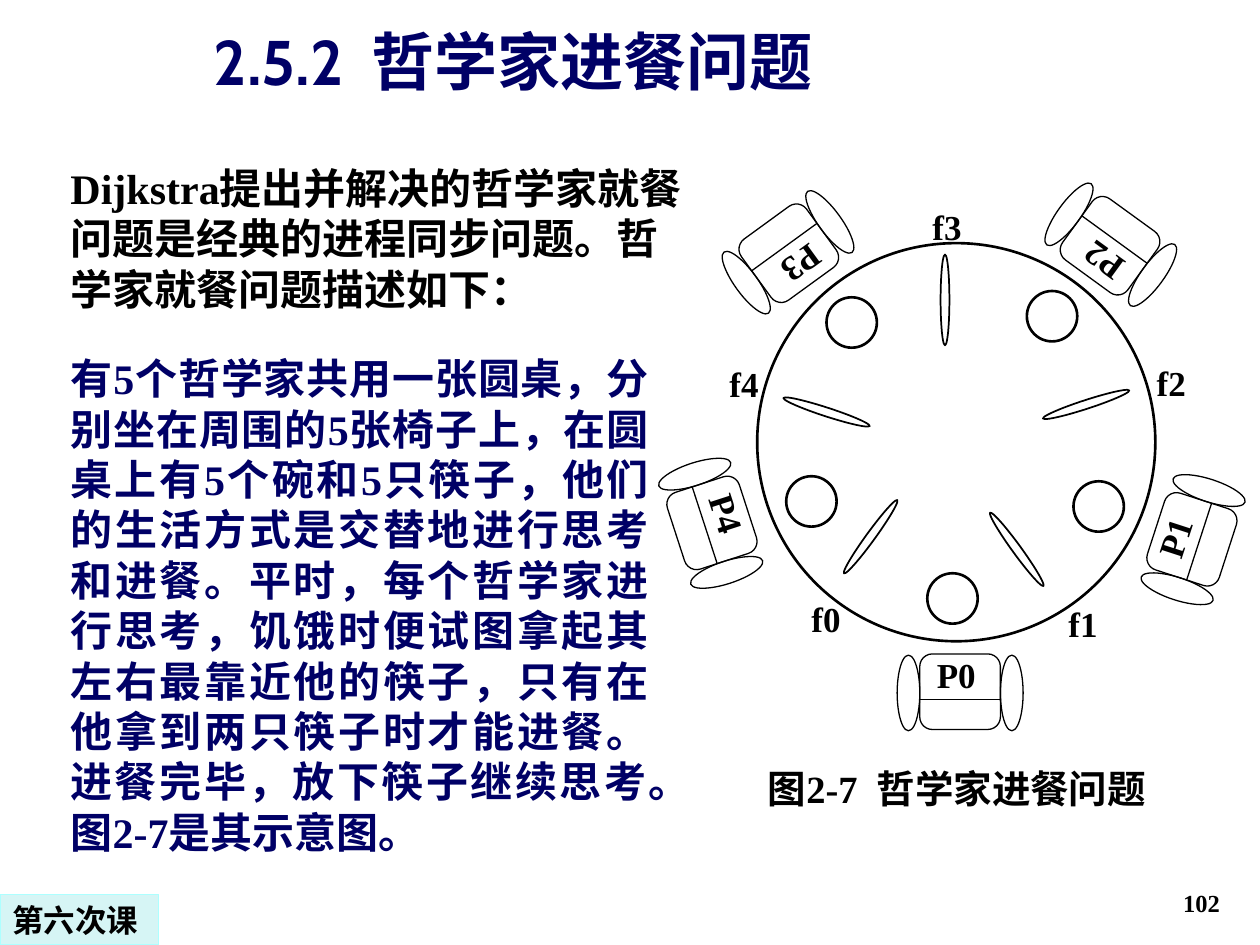
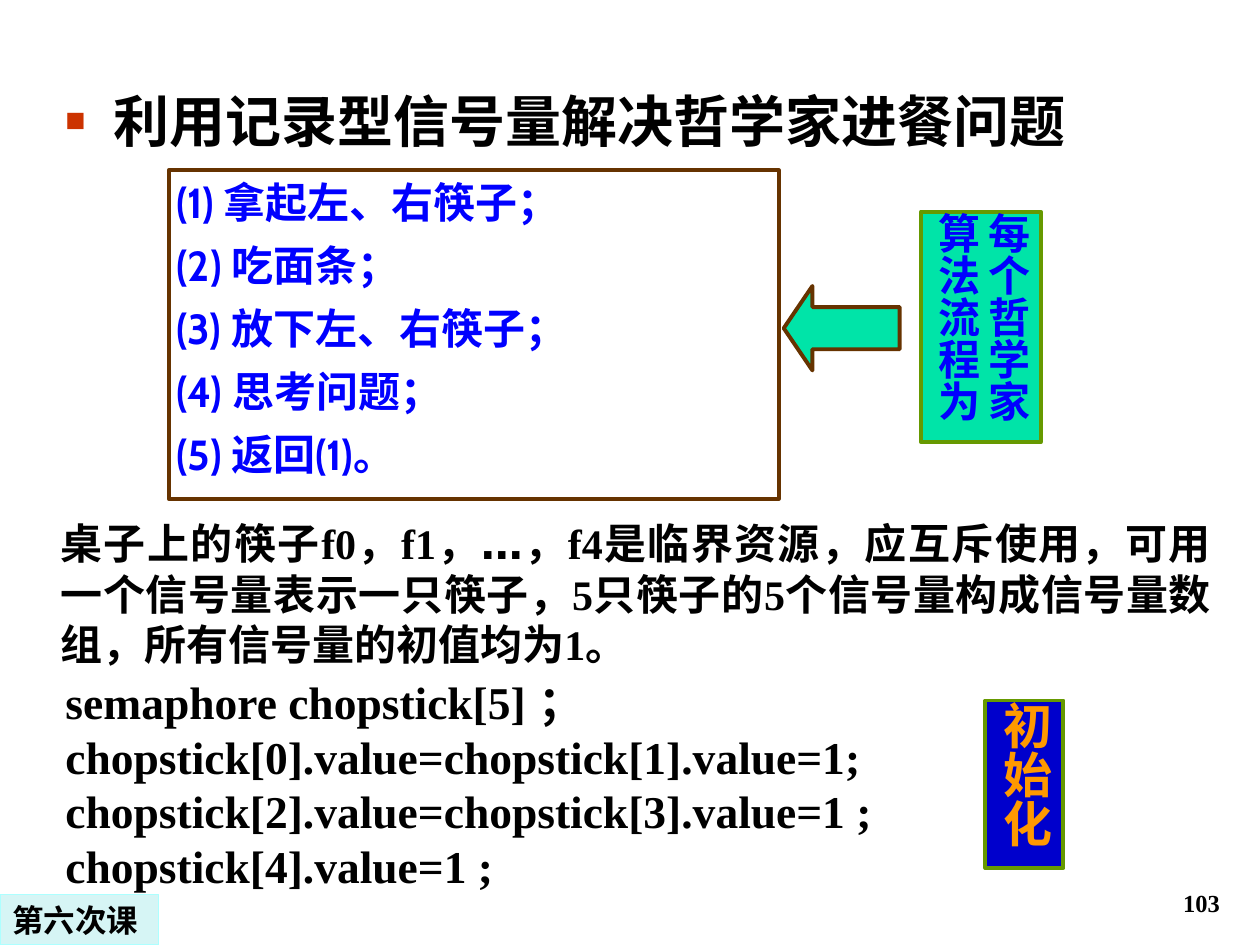
from math import cos, radians, sin

from lxml.etree import SubElement
from pptx import Presentation
from pptx.dml.color import RGBColor
from pptx.enum.shapes import MSO_CONNECTOR, MSO_SHAPE as Preset
from pptx.enum.text import MSO_ANCHOR as Anchor, PP_ALIGN as Align
from pptx.oxml.ns import qn
from pptx.util import Inches, Pt

COLORS = {
    "text": "000000",
    "navy": "000066",
    "blue": "0000FF",
    "white": "FFFFFF",
    "mint": "00E4A8",
    "brown": "663300",
    "olive": "669900",
    "orange": "FF9900",
    "royal": "0000CC",
    "bullet": "CC3300",
    "label": "D6F5F5",
    "label_edge": "ADFFFF",
}
SERIF, SANS, LABEL_FONT = "Times New Roman", "Cabin", "DejaVu Sans"
CHINESE_FONTS = {SERIF: LABEL_FONT, SANS: SANS, LABEL_FONT: LABEL_FONT}
WIDE_INSETS = (0.1, 0.05)
TIGHT_INSETS = (0.06, 0.05)
SIGN_INSETS = (0.06, 0.01)
LINE_PITCH = 1.2
TURN = 72  # degrees between neighbours at the table

SEAT_CENTERS = [(7.62, 5.49), (9.46, 4.28), (8.81, 1.95), (6.26, 2.01), (5.65, 4.15)]
BOWL_CENTERS = [(7.56, 4.75), (8.72, 4.02), (8.35, 2.51), (6.76, 2.56), (6.44, 3.98)]
CHOPSTICK_CENTERS = [(6.91, 4.26), (8.07, 4.36), (8.62, 3.21), (7.5, 2.38), (6.56, 3.27)]
CHOPSTICK_LABELS = [(6.38, 4.69), (8.42, 4.73), (9.12, 2.82), (7.34, 1.58), (5.73, 2.83)]


def rgb(name):
    return RGBColor.from_string(COLORS[name])


def centered(center, width, height):
    x, y = center
    return x - width / 2, y - height / 2, width, height


def write(shape, lines, size, color="text", font=SERIF, align=Align.LEFT,
          anchor=Anchor.TOP, insets=TIGHT_INSETS, gap=0, wrap=True):
    """Fill a shape with one paragraph per line; gap is in points."""
    frame = shape.text_frame
    side, edge = map(Inches, insets)
    frame_format = {
        "word_wrap": wrap, "vertical_anchor": anchor,
        "margin_left": side, "margin_right": side,
        "margin_top": edge, "margin_bottom": edge,
    }
    for name, value in frame_format.items():
        setattr(frame, name, value)
    for index, line in enumerate(lines):
        para = frame.add_paragraph() if index else frame.paragraphs[0]
        para_format = {
            "alignment": align,
            "line_spacing": Pt(size * LINE_PITCH),
            "space_before": Pt(gap if index else 0),
        }
        for name, value in para_format.items():
            setattr(para, name, value)
        span = para.add_run()
        span.text = line
        for name, value in {"name": font, "size": Pt(size), "bold": True}.items():
            setattr(span.font, name, value)
        span.font.color.rgb = rgb(color)
        SubElement(span.font._element, qn("a:ea"), typeface=CHINESE_FONTS[font])


def add_text(page, place, lines, size, **style):
    box = page.shapes.add_textbox(*map(Inches, place))
    write(box, lines, size, **style)
    return box


def add_figure(page, preset, place, line="text", width=0.75, fill=None, turn=0):
    shape = page.shapes.add_shape(preset, *map(Inches, place))
    shape.shadow.inherit = False
    shape.rotation = turn % 360
    if fill:
        shape.fill.solid()
        shape.fill.fore_color.rgb = rgb(fill)
    else:
        shape.fill.background()
    shape.line.color.rgb = rgb(line)
    shape.line.width = Pt(width)
    return shape


def add_line(page, start, end):
    line = page.shapes.add_connector(
        MSO_CONNECTOR.STRAIGHT, *map(Inches, (*start, *end)))
    line.line.color.rgb = rgb("text")
    line.line.width = Pt(0.75)
    SubElement(line._element.spPr, qn("a:effectLst"))


def add_vertical_sign(page, place, columns, size, color, fill):
    """Add a sign read downwards, with its columns from right to left."""
    sign = add_figure(page, Preset.RECTANGLE, place, "olive", 2.25, fill)
    write(sign, columns, size, color=color, font=SANS, insets=SIGN_INSETS, wrap=False)
    sign.text_frame._txBody.bodyPr.set("vert", "eaVert")


def add_bullet(para, color, percent, indent):
    props = para._p.get_or_add_pPr()
    props.set("marL", str(Inches(indent)))
    props.set("indent", str(-Inches(indent)))
    bullet_color = SubElement(props, qn("a:buClr"))
    SubElement(bullet_color, qn("a:srgbClr"), val=COLORS[color])
    SubElement(props, qn("a:buSzPct"), val=str(percent * 1000))
    SubElement(props, qn("a:buFont"), typeface=SERIF)
    SubElement(props, qn("a:buChar"), char="■")


def add_page(deck, number):
    """Add a blank page with its number and the lesson label."""
    page = deck.slides.add_slide(deck.slide_layouts[6])
    add_text(page, (7.7, 6.83, 2.08, 0.5), [str(number)], 14,
             align=Align.RIGHT, anchor=Anchor.BOTTOM, insets=WIDE_INSETS)
    label = add_figure(page, Preset.RECTANGLE, (0, 7.1, 1.26, 0.4),
                       "label_edge", fill="label")
    write(label, ["第六次课"], 18, font=LABEL_FONT, insets=WIDE_INSETS)
    return page


def add_chair(page, center, name, turn):
    """Draw a seat, two armrests, a back line and a name, turned together."""
    angle = radians(turn)

    def turned(x, y):
        return (center[0] + x * cos(angle) - y * sin(angle),
                center[1] + x * sin(angle) + y * cos(angle))

    add_figure(page, Preset.ROUNDED_RECTANGLE, centered(center, 0.64, 0.6), turn=turn)
    for side in (-0.41, 0.41):
        add_figure(page, Preset.OVAL, centered(turned(side, 0.01), 0.18, 0.6), turn=turn)
    add_line(page, turned(-0.32, 0.06), turned(0.32, 0.06))
    box = add_text(page, centered(turned(0, -0.14), 0.49, 0.43), [name], 20)
    box.rotation = turn % 360


def add_dining_table(page):
    for index, center in enumerate(SEAT_CENTERS):
        add_chair(page, center, f"P{index}", -TURN * index)
    add_figure(page, Preset.OVAL, (6.01, 1.93, 3.16, 3.16), width=1.5)
    for center in BOWL_CENTERS:
        add_figure(page, Preset.OVAL, centered(center, 0.4, 0.4), width=1.5)
    for index, center in enumerate(CHOPSTICK_CENTERS):
        add_figure(page, Preset.OVAL, centered(center, 0.72, 0.07),
                   width=1, turn=306 - TURN * index)
    for index, corner in enumerate(CHOPSTICK_LABELS):
        add_text(page, (*corner, 0.43, 0.43), [f"f{index}"], 20)
    add_text(page, (5.58, 6.02, 4.03, 0.47), ["图2-7  哲学家进餐问题"], 22,
             align=Align.CENTER)


def build_problem_page(deck):
    page = add_page(deck, 102)
    add_text(page, (0.29, 0.14, 7.57, 0.69), ["2.5.2  哲学家进餐问题"], 36,
             color="navy", font=SANS, align=Align.CENTER,
             anchor=Anchor.BOTTOM, insets=WIDE_INSETS)
    add_text(page, (0.5, 1.24, 5, 1.3), [
        "Dijkstra提出并解决的哲学家就餐问题是经典的进程同步问题。"
        "哲学家就餐问题描述如下："], 24)
    add_text(page, (0.5, 2.75, 4.71, 4.09), [
        "有5个哲学家共用一张圆桌，分别坐在周围的5张椅子上，"
        "在圆桌上有5个碗和5只筷子，他们的生活方式是交替地进行思考和进餐。"
        "平时，每个哲学家进行思考，饥饿时便试图拿起其左右最靠近他的筷子，"
        "只有在他拿到两只筷子时才能进餐。进餐完毕，放下筷子继续思考。"
        "图2-7是其示意图。"], 24, color="navy", align=Align.JUSTIFY)
    add_dining_table(page)


def build_semaphore_page(deck):
    page = add_page(deck, 103)
    heading = add_text(page, (0.42, 0.64, 8.64, 0.9),
                       ["利用记录型信号量解决哲学家进餐问题"], 32, insets=WIDE_INSETS)
    add_bullet(heading.text_frame.paragraphs[0], "bullet", 60, 0.38)
    add_text(page, (0.42, 4.06, 9.25, 1.3), [
        "桌子上的筷子f0，f1，…，f4是临界资源，应互斥使用，"
        "可用一个信号量表示一只筷子，5只筷子的5个信号量构成信号量数组，"
        "所有信号量的初值均为1。"], 24, align=Align.JUSTIFY)
    add_text(page, (0.46, 5.3, 7.42, 1.84), [
        "semaphore chopstick[5] ；",
        "chopstick[0].value=chopstick[1].value=1;",
        "chopstick[2].value=chopstick[3].value=1 ;",
        "chopstick[4].value=1 ;"], 26)
    add_vertical_sign(page, (7.82, 5.56, 0.62, 1.33), ["初始化"], 28, "orange", "royal")
    add_vertical_sign(page, (7.31, 1.68, 0.95, 1.83), ["每个哲学家", "算法流程为"],
                      24, "blue", "mint")
    steps = add_figure(page, Preset.RECTANGLE, (1.34, 1.35, 4.84, 2.61),
                       "brown", 2.25, "white")
    actions = ["拿起左、右筷子；", "吃面条；", "放下左、右筷子；", "思考问题；", "返回(1)。"]
    write(steps, [f"({number}) {action}" for number, action in enumerate(actions, 1)],
          24, color="blue", font=SANS, gap=7.2)
    arrow = add_figure(page, Preset.LEFT_ARROW, (6.22, 2.27, 0.92, 0.67),
                       "brown", 2.25, "mint")
    arrow.adjustments[1] = 0.34


def main():
    deck = Presentation()
    deck.slide_width, deck.slide_height = Inches(10), Inches(7.5)
    build_problem_page(deck)
    build_semaphore_page(deck)
    deck.save("out.pptx")


if __name__ == "__main__":
    main()
